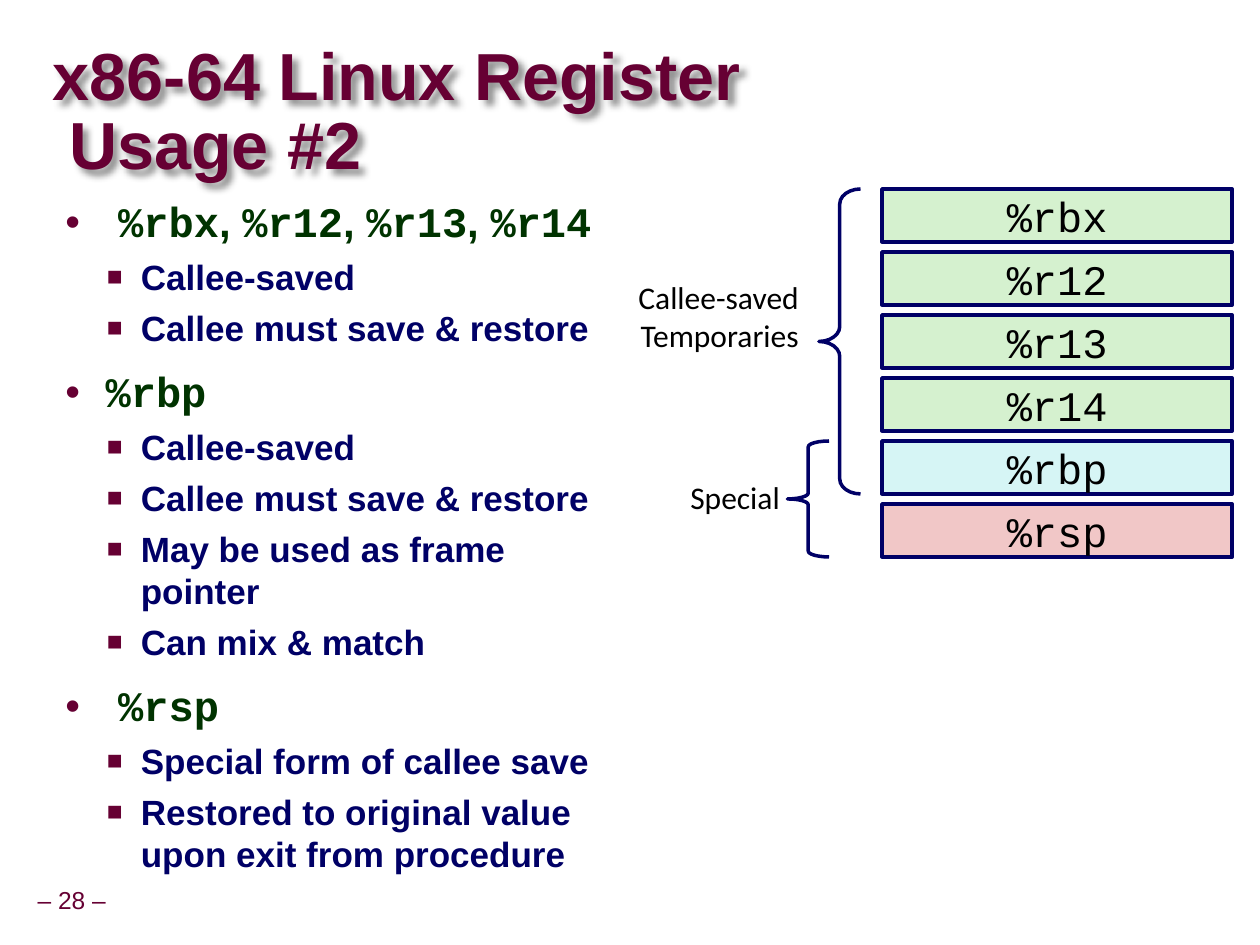
from lxml import etree
from pptx import Presentation
from pptx.dml.color import RGBColor
from pptx.enum.shapes import MSO_SHAPE
from pptx.enum.text import MSO_ANCHOR, PP_ALIGN
from pptx.oxml.ns import qn
from pptx.util import Inches, Pt

RECT, BRACE = MSO_SHAPE.RECTANGLE, MSO_SHAPE.LEFT_BRACE
TOP, MIDDLE = MSO_ANCHOR.TOP, MSO_ANCHOR.MIDDLE
LEFT, CENTER, RIGHT = PP_ALIGN.LEFT, PP_ALIGN.CENTER, PP_ALIGN.RIGHT

COLORS = {
    "maroon": "660033",
    "navy": "000066",
    "green": "003300",
    "black": "000000",
    "callee": "D5F1CF",
    "frame": "D6F5F5",
    "stack": "F1C7C7",
}
SAVED = ["Callee-saved", "Callee must save & restore"]
TOPICS = [
    (["%rbx", "%r12", "%r13", "%r14"], 0.42, SAVED),
    (["%rbp"], 0.32, SAVED + ["May be used as frame pointer", "Can mix & match"]),
    (["%rsp"], 0.42, ["Special form of callee save",
                      "Restored to original value upon exit from procedure"]),
]
REGISTERS = [("%rbx", "callee"), ("%r12", "callee"), ("%r13", "callee"),
             ("%r14", "callee"), ("%rbp", "frame"), ("%rsp", "stack")]


def rgb(name):
    return RGBColor.from_string(COLORS[name])


def style(font, size, name, color, bold=False):
    font.size, font.name, font.bold = Pt(size), name, bold
    font.color.rgb = rgb(color)


def set_frame(tf, inset, anchor=TOP, wrap=True):
    tf.margin_left = tf.margin_right = Inches(inset)
    tf.margin_top = tf.margin_bottom = Inches(min(inset, 0.05))
    tf.vertical_anchor, tf.word_wrap = anchor, wrap


def set_indent(p, margin, first):
    pPr = p._p.get_or_add_pPr()
    pPr.set("marL", str(Inches(margin)))
    pPr.set("indent", str(Inches(first)))
    return pPr


def add_bullet(p, char, margin, first, size=100):
    pPr = set_indent(p, margin, first)
    clr = etree.SubElement(pPr, qn("a:buClr"))
    etree.SubElement(clr, qn("a:srgbClr"), val=COLORS["maroon"])
    etree.SubElement(pPr, qn("a:buSzPct"), val=str(size * 1000))
    etree.SubElement(pPr, qn("a:buFont"), typeface="Arial")
    etree.SubElement(pPr, qn("a:buChar"), char=char)


def add_text(slide, box, text, size, name, color, align=LEFT, inset=0.0,
             anchor=TOP, wrap=True, bold=False):
    sp = slide.shapes.add_textbox(*map(Inches, box))
    tf = sp.text_frame
    set_frame(tf, inset, anchor, wrap)
    tf.text = text
    for p in tf.paragraphs:
        p.alignment = align
        for r in p.runs:
            style(r.font, size, name, color, bold)
    return sp


def add_title(slide, box):
    sp = add_text(slide, box, "x86-64 Linux Register Usage #2", 38, "Arial",
                  "maroon", anchor=MIDDLE, bold=True)
    p = sp.text_frame.paragraphs[0]
    p.line_spacing = 0.87
    set_indent(p, 0.13, -0.13)
    effects = etree.SubElement(sp._element.spPr, qn("a:effectLst"))
    shadow = etree.SubElement(effects, qn("a:outerShdw"), blurRad=str(Pt(4)),
                              dist=str(Pt(4)), dir="2700000", algn="tl")
    clr = etree.SubElement(shadow, qn("a:srgbClr"), val=COLORS["black"])
    etree.SubElement(clr, qn("a:alpha"), val="43000")


def add_topics(slide, box):
    tf = slide.shapes.add_textbox(*map(Inches, box)).text_frame
    set_frame(tf, 0.1)
    p = tf.paragraphs[0]
    for i, (names, margin, points) in enumerate(TOPICS):
        if i:
            p = tf.add_paragraph()
            p.space_before = Pt(12)
        p.line_spacing = 0.95
        add_bullet(p, "•", margin, -0.42)
        for j, name in enumerate(names):
            if j:
                r = p.add_run()
                r.text = ", "
                style(r.font, 24, "Arial", "green", True)
            r = p.add_run()
            r.text = name
            style(r.font, 24, "Courier New", "green", True)
        for point in points:
            p = tf.add_paragraph()
            p.text, p.level, p.space_before = point, 1, Pt(5)
            add_bullet(p, "■", 0.6, -0.27, 75)
            style(p.runs[0].font, 20, "Arial", "navy", True)


def add_outlined(slide, kind, box):
    sp = slide.shapes.add_shape(kind, *map(Inches, box))
    sp.shadow.inherit = False
    sp.line.color.rgb, sp.line.width = rgb("navy"), Pt(2)
    return sp


def add_brace(slide, box, curve):
    sp = add_outlined(slide, BRACE, box)
    sp.fill.background()
    sp.adjustments[0] = curve


def add_registers(slide, box):
    left, top, width, height = box
    pitch = 0.5
    for i, (name, fill) in enumerate(REGISTERS):
        sp = add_outlined(slide, RECT, (left, top + i * pitch, width, height))
        sp.fill.solid()
        sp.fill.fore_color.rgb = rgb(fill)
        tf = sp.text_frame
        set_frame(tf, 0, MIDDLE)
        tf.text = name
        p = tf.paragraphs[0]
        p.alignment = CENTER
        style(p.runs[0].font, 24, "Courier New", "black")
    add_brace(slide, (left - 0.5, top, 0.33, 4 * pitch + height), 0.36)
    add_brace(slide, (left - 0.75, top + 4 * pitch, 0.33, pitch + height), 0.14)
    for text, label in (("Callee-saved\nTemporaries", (5, 2.17, 1.38, 0.69)),
                        ("Special", (5.4, 3.75, 0.83, 0.39))):
        add_text(slide, label, text, 18, "Calibri", "black", RIGHT, 0.04, wrap=False)


def add_page_number(slide, box):
    sp = add_text(slide, box, "– 28 –", 14, "Arial", "maroon", CENTER, 0.05,
                  MIDDLE, False)
    sp.text_frame.paragraphs[0].line_spacing = 0.9


def main():
    prs = Presentation()
    prs.slide_width, prs.slide_height = Inches(10), Inches(7.5)
    slide = prs.slides.add_slide(prs.slide_layouts[6])
    add_page_number(slide, (0.24, 7, 0.66, 0.31))
    add_title(slide, (0.42, 0.28, 6.58, 1.25))
    add_topics(slide, (0.42, 1.53, 4.44, 4.81))
    add_registers(slide, (7, 1.5, 2.78, 0.42))
    prs.save("out.pptx")


if __name__ == "__main__":
    main()
